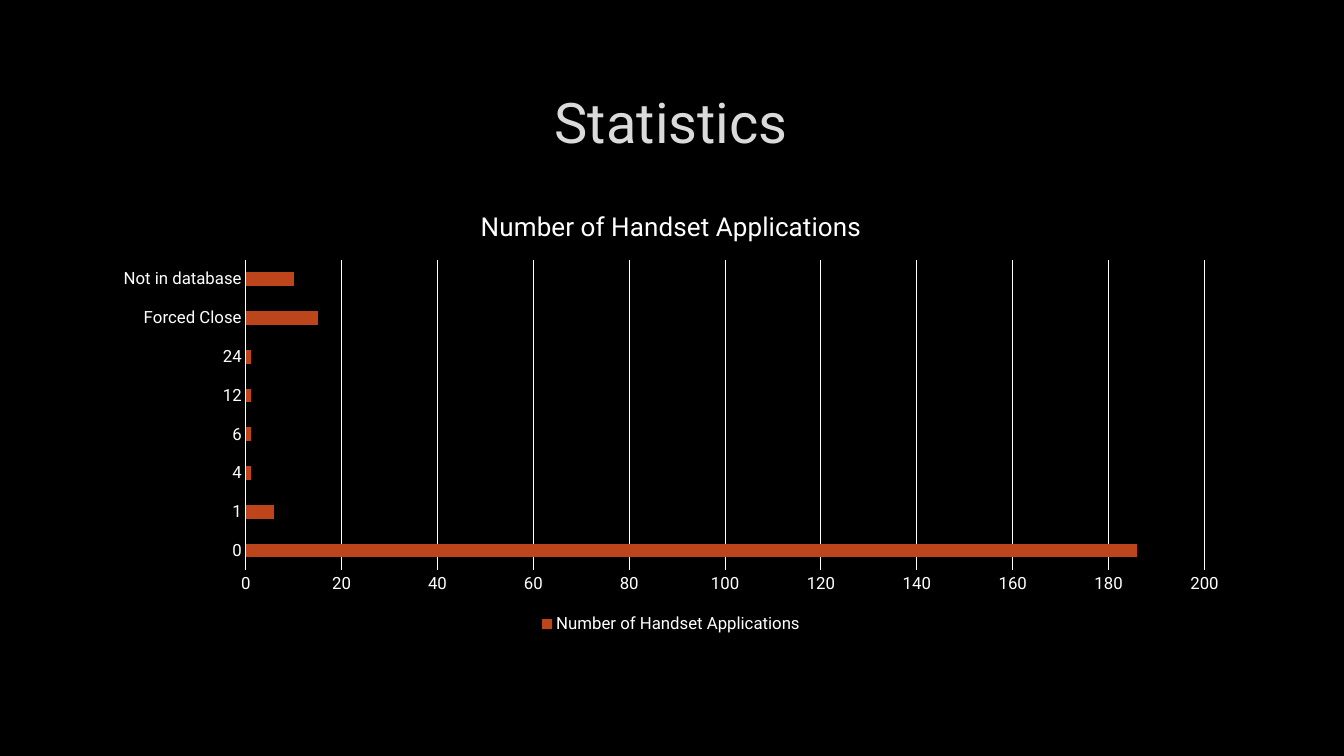
"""Builds the statistics slide with a bar chart of application counts."""
from pptx import Presentation
from pptx import util as u
from pptx.chart.data import CategoryChartData
from pptx.dml.color import RGBColor
from pptx.enum import chart as ch, text

FONT = "Roboto"
WHITE, TITLE_GREY, BAR, BLACK = "FFFFFF", "DADADA", "BC451B", "000000"
TITLE = "Statistics"
SERIES = "Number of Handset Applications"
COUNTS = {"0": 186, "1": 6, "4": 1, "6": 1, "12": 1, "24": 1,
          "Forced Close": 15, "Not in database": 10}
LEFT, WIDTH = 2.54, 28.75
TITLE_TOP, TITLE_HEIGHT = 1.7, 2.69
CHART_TOP, CHART_HEIGHT = 4.8, 11.28


def paint(fmt, color):
    fmt.solid()
    fmt.fore_color.rgb = RGBColor.from_string(color)


def style(font, size, color=WHITE):
    font.name, font.size, font.bold = FONT, u.Pt(size), False
    font.color.rgb = RGBColor.from_string(color)


def write(tf, words, size, color=WHITE, align=text.PP_ALIGN.CENTER):
    p = tf.paragraphs[0]
    p.alignment = align
    r = p.add_run()
    r.text = words
    style(r.font, size, color)


def rule(line):
    paint(line.fill, WHITE)
    line.width = u.Pt(0.75)


def add_title(s):
    sp = s.shapes.add_textbox(*map(u.Cm, (LEFT, TITLE_TOP, WIDTH, TITLE_HEIGHT)))
    tf = sp.text_frame
    tf.word_wrap = True
    tf.vertical_anchor = text.MSO_ANCHOR.MIDDLE
    write(tf, TITLE, 40, TITLE_GREY)


def add_counts_chart(s):
    data = CategoryChartData()
    data.categories = list(COUNTS)
    data.add_series(SERIES, list(COUNTS.values()))
    box = map(u.Cm, (LEFT, CHART_TOP, WIDTH, CHART_HEIGHT))
    chart = s.shapes.add_chart(ch.XL_CHART_TYPE.BAR_CLUSTERED, *box, data).chart
    style(chart.font, 10)
    chart.has_title = True
    write(chart.chart_title.text_frame, SERIES, 18.6)
    chart.chart_title.include_in_layout = False

    chart.has_legend = True
    chart.legend.position = ch.XL_LEGEND_POSITION.BOTTOM
    chart.legend.include_in_layout = False
    style(chart.legend.font, 12)

    plot = chart.plots[0]
    plot.gap_width = 182
    plot.vary_by_categories = False
    paint(plot.series[0].format.fill, BAR)

    for axis in (chart.category_axis, chart.value_axis):
        axis.major_tick_mark = axis.minor_tick_mark = ch.XL_TICK_MARK.NONE
        style(axis.tick_labels.font, 12)
    rule(chart.category_axis.format.line)
    value_axis = chart.value_axis
    value_axis.format.line.fill.background()
    value_axis.minimum_scale, value_axis.maximum_scale = 0, 200
    value_axis.major_unit = 20
    rule(value_axis.major_gridlines.format.line)


def main():
    prs = Presentation()
    prs.slide_width, prs.slide_height = u.Cm(33.87), u.Cm(19.05)
    s = prs.slides.add_slide(prs.slide_layouts[6])
    paint(s.background.fill, BLACK)
    add_title(s)
    add_counts_chart(s)
    prs.save("out.pptx")


if __name__ == "__main__":
    main()
